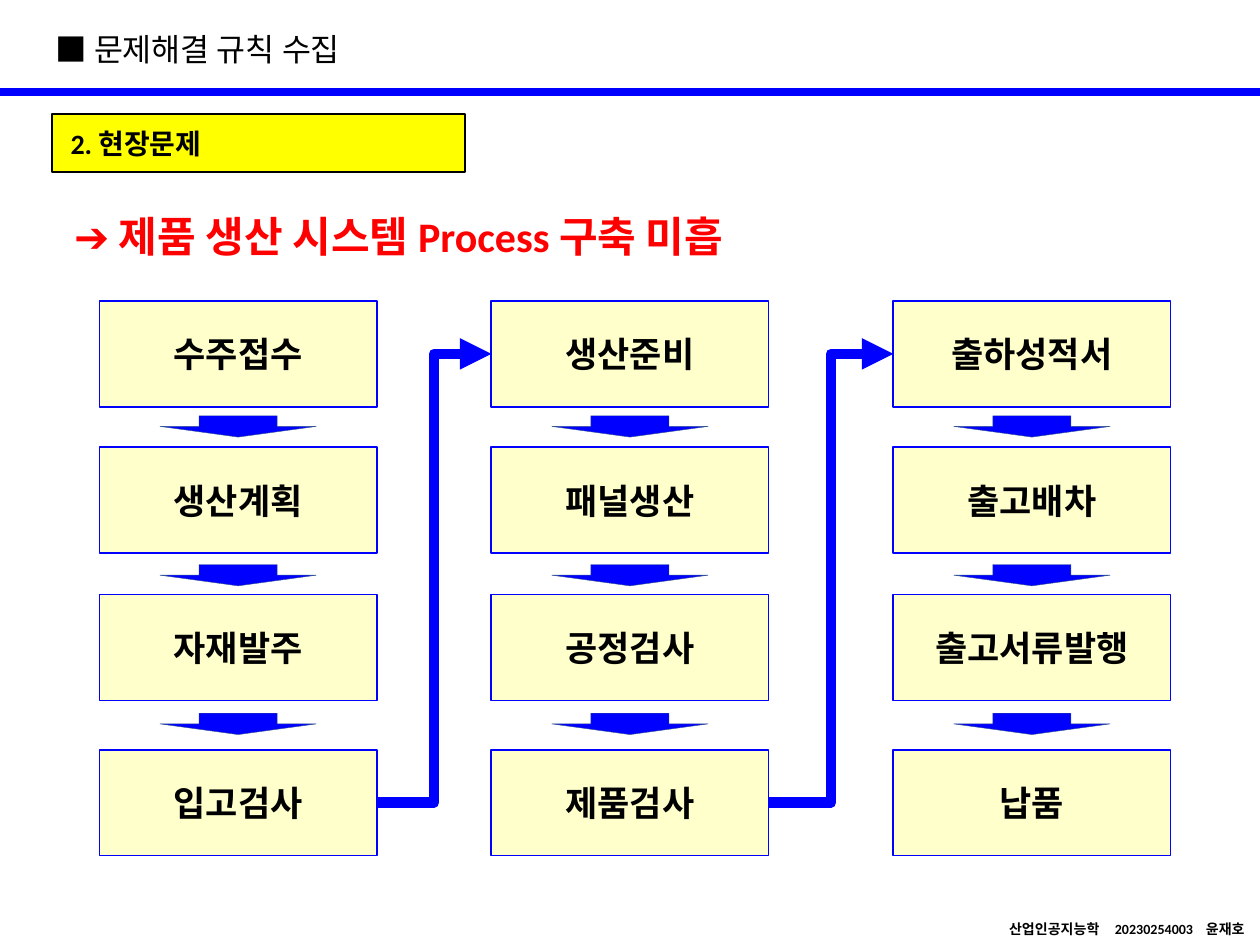
from pptx import Presentation
from pptx import util as u
from pptx.dml.color import RGBColor
from pptx.enum import shapes, text
from pptx.oxml.ns import qn
from lxml import etree

BLUE = RGBColor(0x00, 0x00, 0xFF)
NAVY = RGBColor(0x32, 0x54, 0x91)
CREAM = RGBColor(0xFF, 0xFF, 0xCC)
YELLOW = RGBColor(0xFF, 0xFF, 0x00)
RED = RGBColor(0xFF, 0x00, 0x00)
BLACK = RGBColor(0x00, 0x00, 0x00)
FONT = "Calibri"

TITLE = "■ 문제해결 규칙 수집"
SECTION = "2. 현장문제"
MESSAGE = "➔ 제품 생산 시스템 Process 구축 미흡"
FOOTER = ["산업인공지능학", "20230254003", "윤재호"]
FOOTER_TABS = [60.5, 112.5]
PROCESS = [
    ["수주접수", "생산계획", "자재발주", "입고검사"],
    ["생산준비", "패널생산", "공정검사", "제품검사"],
    ["출하성적서", "출고배차", "출고서류발행", "납품"],
]

COL_LEFTS = [56.9, 280.8, 510.5]
ROW_TOPS = [172, 255.6, 339.8, 428.4]
BOX_W, BOX_H = 158.4, 60.5
ARROW_W, ARROW_H = 89.3, 12.2
ARROW_TOP, ARROW_STEP = 237.6, 85


def write(sp, content, size, color=BLACK, bold=True, align=text.PP_ALIGN.LEFT,
          anchor=text.MSO_ANCHOR.TOP, wrap=True):
    tf = sp.text_frame
    tf.word_wrap = wrap
    tf.vertical_anchor = anchor
    p = tf.paragraphs[0]
    p.alignment = align
    r = p.add_run()
    r.text = content
    r.font.name = FONT
    r.font.size = u.Pt(size)
    r.font.bold = bold
    r.font.color.rgb = color
    return tf


def add_block(s, kind, x, y, w, h, fill, line, width):
    sp = s.shapes.add_shape(kind, u.Pt(x), u.Pt(y), u.Pt(w), u.Pt(h))
    sp.shadow.inherit = False
    sp.fill.solid()
    sp.fill.fore_color.rgb = fill
    sp.line.color.rgb = line
    sp.line.width = u.Pt(width)
    return sp


def add_line(s, kind, x1, y1, x2, y2, width):
    c = s.shapes.add_connector(kind, u.Pt(x1), u.Pt(y1), u.Pt(x2), u.Pt(y2))
    c.line.color.rgb = BLUE
    c.line.width = u.Pt(width)
    etree.SubElement(c._element.spPr, qn("a:effectLst"))
    return c


def add_text(s, x, y, w, h):
    return s.shapes.add_textbox(u.Pt(x), u.Pt(y), u.Pt(w), u.Pt(h))


def add_header(s):
    add_line(s, shapes.MSO_CONNECTOR.STRAIGHT, 0, 52.6, 720, 52.6, 4.5)
    title = s.shapes.title
    title.left, title.top, title.width, title.height = map(u.Pt, (24.5, 13.7, 361.4, 29))
    write(title, TITLE, 18, bold=False)
    label = add_block(s, shapes.MSO_SHAPE.RECTANGLE, 29.5, 65.2, 236.2, 33.1,
                      YELLOW, BLACK, 1)
    tf = write(label, SECTION, 16, anchor=text.MSO_ANCHOR.MIDDLE)
    tf.margin_left = u.Pt(10.8)
    write(add_text(s, 35.3, 116.6, 447.8, 36), MESSAGE, 24, RED)


def add_process(s):
    columns = []
    for x, names in zip(COL_LEFTS, PROCESS):
        boxes = []
        for y, name in zip(ROW_TOPS, names):
            sp = add_block(s, shapes.MSO_SHAPE.RECTANGLE, x, y, BOX_W, BOX_H,
                           CREAM, BLUE, 1)
            write(sp, name, 20, align=text.PP_ALIGN.CENTER,
                  anchor=text.MSO_ANCHOR.MIDDLE)
            boxes.append(sp)
        for i in range(len(names) - 1):
            add_block(s, shapes.MSO_SHAPE.DOWN_ARROW, x + (BOX_W - ARROW_W) / 2,
                      ARROW_TOP + i * ARROW_STEP, ARROW_W, ARROW_H, BLUE, NAVY, 0.25)
        columns.append(boxes)
    for before, after in zip(columns, columns[1:]):
        c = add_line(s, shapes.MSO_CONNECTOR.ELBOW, 0, 0, 0, 0, 6)
        c.begin_connect(before[-1], 3)
        c.end_connect(after[0], 1)
        etree.SubElement(c.line._get_or_add_ln(), qn("a:tailEnd"), type="triangle")


def add_footer(s):
    tf = write(add_text(s, 569.5, 522.7, 150.5, 17.3), "\t".join(FOOTER), 8, wrap=False)
    tabs = etree.SubElement(tf.paragraphs[0]._p.get_or_add_pPr(), qn("a:tabLst"))
    for pos in FOOTER_TABS:
        etree.SubElement(tabs, qn("a:tab"), pos=str(u.Pt(pos)), algn="l")


def main():
    prs = Presentation()
    prs.slide_width, prs.slide_height = u.Pt(720), u.Pt(540)
    s = prs.slides.add_slide(prs.slide_layouts[5])
    add_header(s)
    add_process(s)
    add_footer(s)
    prs.save("out.pptx")


if __name__ == "__main__":
    main()
